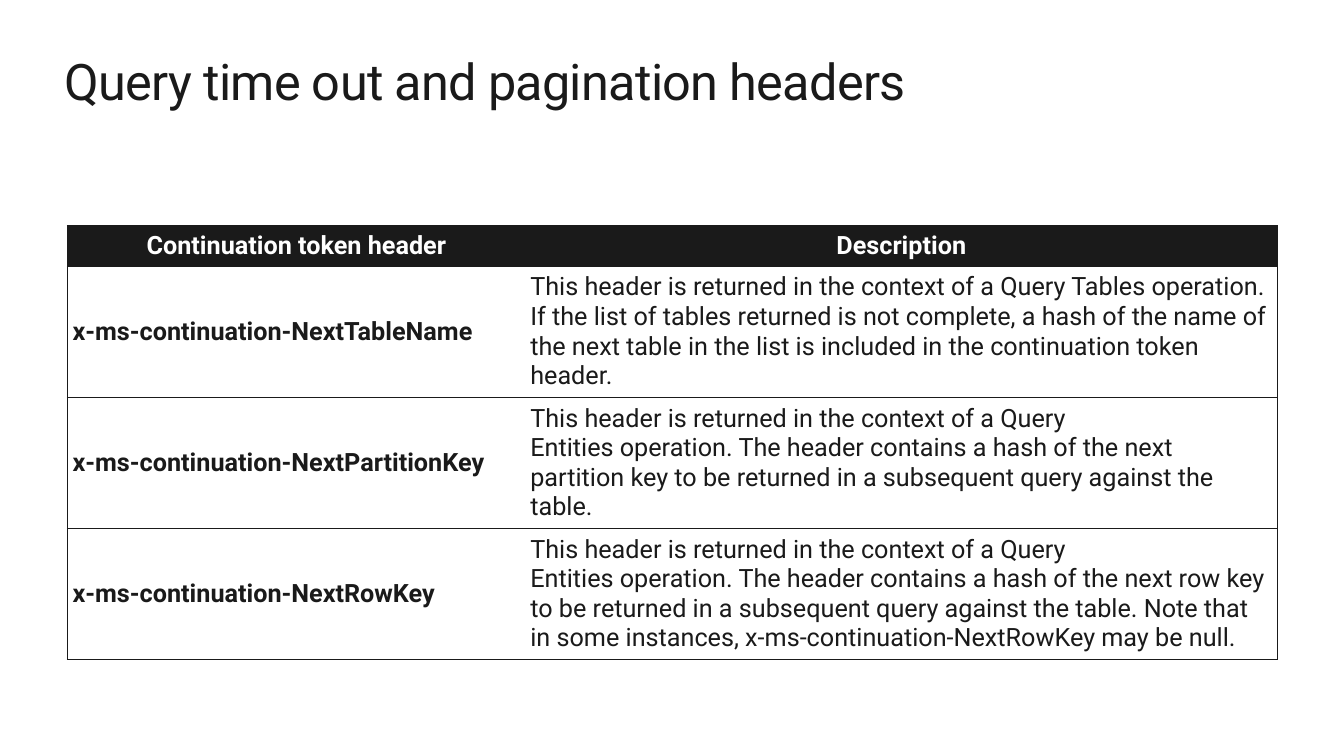
import pptx
import pptx.util
import pptx.dml.color
import pptx.enum.text
import pptx.oxml
import pptx.oxml.ns

Inches, Pt = pptx.util.Inches, pptx.util.Pt
PP_ALIGN, MSO_ANCHOR = pptx.enum.text.PP_ALIGN, pptx.enum.text.MSO_ANCHOR
COLORS = {"ink": "1A1A1A", "paper": "FFFFFF"}


def rgb(name):
    return pptx.dml.color.RGBColor.from_string(COLORS[name])


def add_run(p, text, size, color, bold=False):
    r = p.add_run()
    r.text = text
    for name, value in {"name": "Roboto", "size": Pt(size), "bold": bold}.items():
        setattr(r.font, name, value)
    r.font.color.rgb = rgb(color)
    return r


prs = pptx.Presentation()
prs.slide_width, prs.slide_height = Inches(13.33), Inches(7.5)
s = prs.slides.add_slide(prs.slide_layouts[6])

# Title
sp = s.shapes.add_textbox(Inches(0.64), Inches(0.5), Inches(12.05), Inches(0.61))
tf = sp.text_frame
tf.word_wrap = True
for side in ("left", "right", "top", "bottom"):
    setattr(tf, f"margin_{side}", 0)
r = add_run(tf.paragraphs[0], "Query time out and pagination headers", 36, "ink")
r.font._element.set("spc", "-50")

# Table content
rows = [
    ("Continuation token header", "Description"),
    ("x-ms-continuation-NextTableName",
     "This header is returned in the context of a\u00a0Query Tables\u00a0operation. "
     "If the list of tables returned is not complete, a hash of the name of the next "
     "table in the list is included in the continuation token header."),
    ("x-ms-continuation-NextPartitionKey",
     "This header is returned in the context of a\u00a0Query Entities\u00a0operation. "
     "The header contains a hash of the next partition key to be returned in a "
     "subsequent query against the table."),
    ("x-ms-continuation-NextRowKey",
     "This header is returned in the context of a\u00a0Query Entities\u00a0operation. "
     "The header contains a hash of the next row key to be returned in a subsequent "
     "query against the table. Note that in some instances,\u00a0"
     "x-ms-continuation-NextRowKey\u00a0may be\u00a0null."),
]
widths = (4.54, 7.46)
heights = [0.4] + [1.27] * 3

# Table grid
table = s.shapes.add_table(len(rows), len(widths), Inches(0.67), Inches(2.24),
                           Inches(sum(widths)), Inches(sum(heights))).table
table.horz_banding = False
for column, width in zip(table.columns, widths):
    column.width = Inches(width)
for row, height in zip(table.rows, heights):
    row.height = Inches(height)

# Cells, with no rule between the two columns
for i, texts in enumerate(rows):
    header = i == 0
    for j, text in enumerate(texts):
        cell = table.cell(i, j)
        cell.vertical_anchor = MSO_ANCHOR.MIDDLE
        for side in ("left", "right", "top", "bottom"):
            setattr(cell, f"margin_{side}", Inches(0.05))
        p = cell.text_frame.paragraphs[0]
        p.alignment = PP_ALIGN.CENTER if header else PP_ALIGN.LEFT
        add_run(p, text, 18, "paper" if header else "ink", header or j == 0)
        cell.fill.solid()
        cell.fill.fore_color.rgb = rgb("ink" if header else "paper")
        inner = "R" if j == 0 else "L"
        for k, edge in enumerate("LRTB"):
            line = "<a:noFill/>" if edge == inner else (
                f'<a:solidFill><a:srgbClr val="{COLORS["ink"]}"/></a:solidFill>')
            cell._tc.tcPr.insert(k, pptx.oxml.parse_xml(
                f'<a:ln{edge} {pptx.oxml.ns.nsdecls("a")} w="{Pt(1)}">{line}</a:ln{edge}>'))

prs.save("out.pptx")
